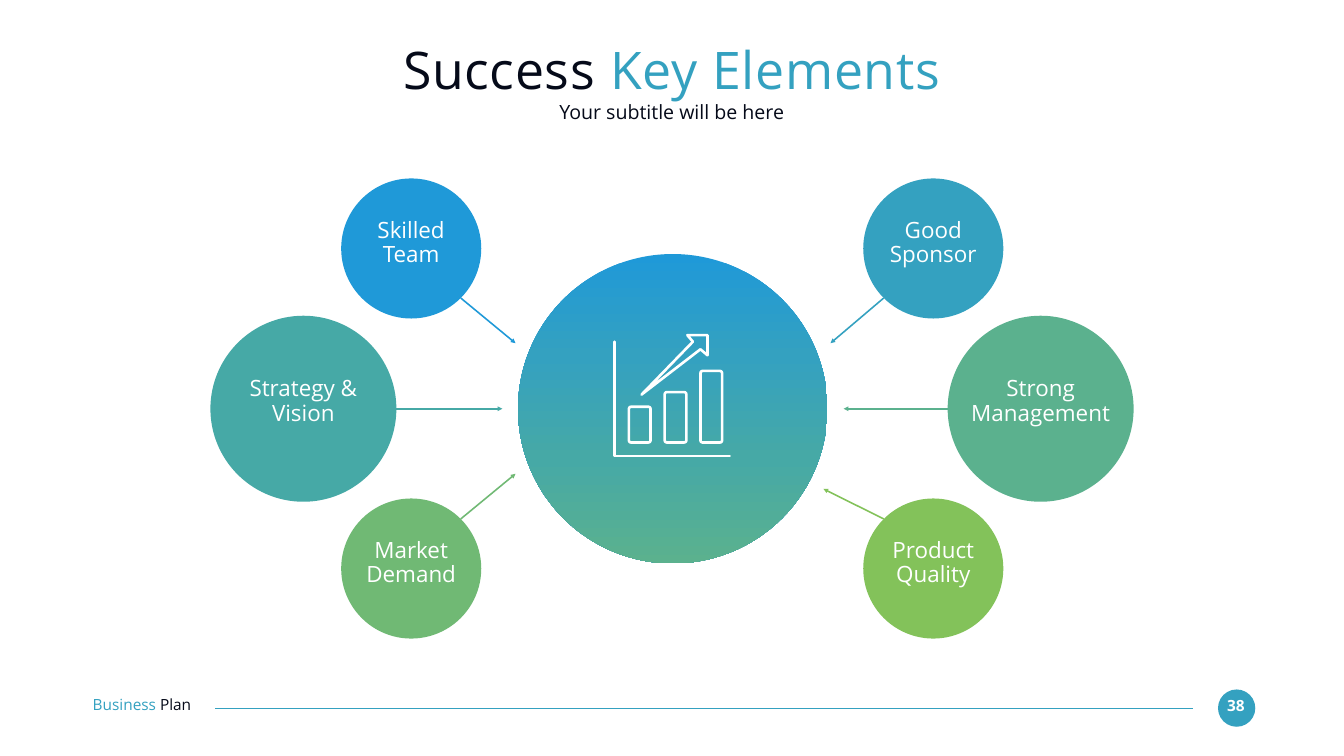
import math

import lxml.etree
import pptx
import pptx.dml.color
import pptx.enum.dml
import pptx.enum.shapes
import pptx.enum.text
import pptx.oxml.ns
import pptx.util

Inches = pptx.util.Inches
Pt = pptx.util.Pt
qn = pptx.oxml.ns.qn
SHAPE = pptx.enum.shapes.MSO_SHAPE
ALIGN = pptx.enum.text.PP_ALIGN
ANCHOR = pptx.enum.text.MSO_ANCHOR

COLOURS = {
    "white": "FFFFFF", "ink": "050A19", "blue": "1F99D8", "cyan": "34A1C0",
    "teal": "46A9A6", "sea": "5BB18E", "green": "70B974", "lime": "83C25A",
}
SMALL, LARGE = 2.78, 3.69
MIDDLE_Y = 8.11

# label lines, colour, centre, diameter, arrow angle in degrees, arrow tip
ELEMENTS = [
    (["Skilled Team"], "blue", (8.16, 4.93), SMALL, 45, (10.23, 6.81)),
    (["Strategy & Vision"], "teal", (6.02, MIDDLE_Y), LARGE, 0, (9.97, MIDDLE_Y)),
    (["Market Demand"], "green", (8.16, 11.28), SMALL, -45, (10.23, 9.4)),
    (["Good Sponsor"], "cyan", (18.52, 4.93), SMALL, 135, (16.48, 6.81)),
    (["Strong", "Management"], "sea", (20.65, MIDDLE_Y), LARGE, 180, (16.74, MIDDLE_Y)),
    (["Product Quality"], "lime", (18.52, 11.28), SMALL, -135, (16.34, 9.7)),
]


def colour(name):
    return pptx.dml.color.RGBColor.from_string(COLOURS[name])


class SlideBuilder:
    """Holds the current slide and its text style."""

    font = "Open Sans"

    def __init__(self, slide):
        self.slide = slide

    def text(self, box, paragraphs, size, align=ALIGN.CENTER, anchor=ANCHOR.TOP,
             bold=False, line_spacing=0.9, letter_spacing=None):
        """Add a text box; each paragraph is a list of (text, colour) runs."""
        shape = self.slide.shapes.add_textbox(*map(Inches, box))
        frame = shape.text_frame
        frame.word_wrap = True
        frame.vertical_anchor = anchor
        frame.margin_left = frame.margin_right = 0
        frame.margin_top = frame.margin_bottom = 0
        for index, runs in enumerate(paragraphs):
            paragraph = frame.add_paragraph() if index else frame.paragraphs[0]
            paragraph.alignment = align
            paragraph.line_spacing = line_spacing
            paragraph.font.name = self.font
            paragraph.font.size = Pt(size)
            paragraph.font.bold = bold
            for words, name in runs:
                run = paragraph.add_run()
                run.text = words
                run.font.color.rgb = colour(name)
                if letter_spacing:
                    run.font._element.set("spc", str(letter_spacing))

    def circle(self, centre, diameter, fill):
        """Add a circle; a list of (percent, colour) stops makes a vertical gradient."""
        left, top = (value - diameter / 2 for value in centre)
        shape = self.slide.shapes.add_shape(
            SHAPE.OVAL, *map(Inches, (left, top, diameter, diameter)))
        shape.shadow.inherit = False
        shape.line.fill.background()
        if isinstance(fill, str):
            shape.fill.solid()
            shape.fill.fore_color.rgb = colour(fill)
            return
        shape.fill.gradient()
        shape.fill.gradient_angle = 270
        stops = shape.fill._fill._gradFill.find(qn("a:gsLst"))
        for stop in list(stops):
            stops.remove(stop)
        for percent, name in fill:
            stop = lxml.etree.SubElement(stops, qn("a:gs"), pos=str(percent * 1000))
            lxml.etree.SubElement(stop, qn("a:srgbClr"), val=COLOURS[name])

    def line(self, start, end, name, width, arrow=False):
        connector = self.slide.shapes.add_connector(
            pptx.enum.shapes.MSO_CONNECTOR.STRAIGHT, *map(Inches, (*start, *end)))
        connector.line.color.rgb = colour(name)
        connector.line.width = Pt(width)
        if arrow:
            lxml.etree.SubElement(connector.line._get_or_add_ln(),
                                  qn("a:tailEnd"), type="triangle")
        lxml.etree.SubElement(connector._element.spPr, qn("a:effectLst"))

    def stroke_only(self, shape, name, width):
        shape.shadow.inherit = False
        shape.fill.background()
        shape.line.color.rgb = colour(name)
        shape.line.width = Pt(width)
        line = shape.line._get_or_add_ln()
        line.set("cap", "rnd")
        lxml.etree.SubElement(line, qn("a:round"))

    def outline(self, points, name, width, close):
        corners = [tuple(map(Inches, point)) for point in points]
        builder = self.slide.shapes.build_freeform(*corners[0])
        builder.add_line_segments(corners[1:], close=close)
        self.stroke_only(builder.convert_to_shape(), name, width)

    def rounded_bar(self, left, top, width, height, name, line_width):
        shape = self.slide.shapes.add_shape(
            SHAPE.ROUNDED_RECTANGLE, *map(Inches, (left, top, width, height)))
        shape.adjustments[0] = 0.1
        self.stroke_only(shape, name, line_width)


def add_growth_icon(builder):
    weight = 3.75
    builder.outline([(12.2, 6.78), (12.2, 9.05), (14.48, 9.05)], "white", weight, False)
    for index, top in enumerate((8.07, 7.78, 7.36)):
        builder.rounded_bar(12.48 + 0.71 * index, top, 0.43, 8.78 - top, "white", weight)
    arrow = [(12.73, 7.83), (13.75, 6.78), (13.64, 6.65), (14.04, 6.65),
             (14.04, 7.05), (13.9, 6.93)]
    builder.outline(arrow, "white", weight, True)


def main():
    presentation = pptx.Presentation()
    presentation.slide_width = Inches(26.67)
    presentation.slide_height = Inches(15)
    slide = presentation.slides.add_slide(presentation.slide_layouts[6])
    builder = SlideBuilder(slide)

    builder.circle((24.54, 14.05), 0.74, "cyan")
    builder.text((24.23, 13.85, 0.59, 0.37), [[("38", "white")]], 22, bold=True)
    builder.line((23.67, 14.05), (4.27, 14.05), "cyan", 1.5)
    builder.text((1.84, 13.84, 2.59, 0.37),
                 [[("Business ", "cyan"), ("Plan", "ink")]], 22, align=ALIGN.LEFT)

    builder.text((1.83, 0.73, 23, 1.27),
                 [[("Success ", "ink"), ("Key Elements", "cyan")]], 74,
                 anchor=ANCHOR.MIDDLE, line_spacing=1, letter_spacing=100)
    builder.text((1.83, 2.03, 23, 0.49), [[("Your subtitle will be here", "ink")]], 28)

    for lines, name, centre, diameter, angle, tip in ELEMENTS:
        builder.circle(centre, diameter, name)
        radians = math.radians(angle)
        start = (centre[0] + diameter / 2 * math.cos(radians),
                 centre[1] + diameter / 2 * math.sin(radians))
        builder.line(start, tip, name, 2.25, arrow=True)
        width = 2.91 if len(lines) > 1 else 2.23
        label_top = centre[1] - (0.59 if diameter == SMALL else 0.62)
        builder.text((centre[0] - width / 2, label_top, width, 1.08),
                     [[(line, "white")] for line in lines], 32)

    builder.circle((13.35, MIDDLE_Y), 6.14,
                   [(0, "blue"), (33, "cyan"), (66, "teal"), (100, "sea")])
    add_growth_icon(builder)
    presentation.save("out.pptx")


if __name__ == "__main__":
    main()
